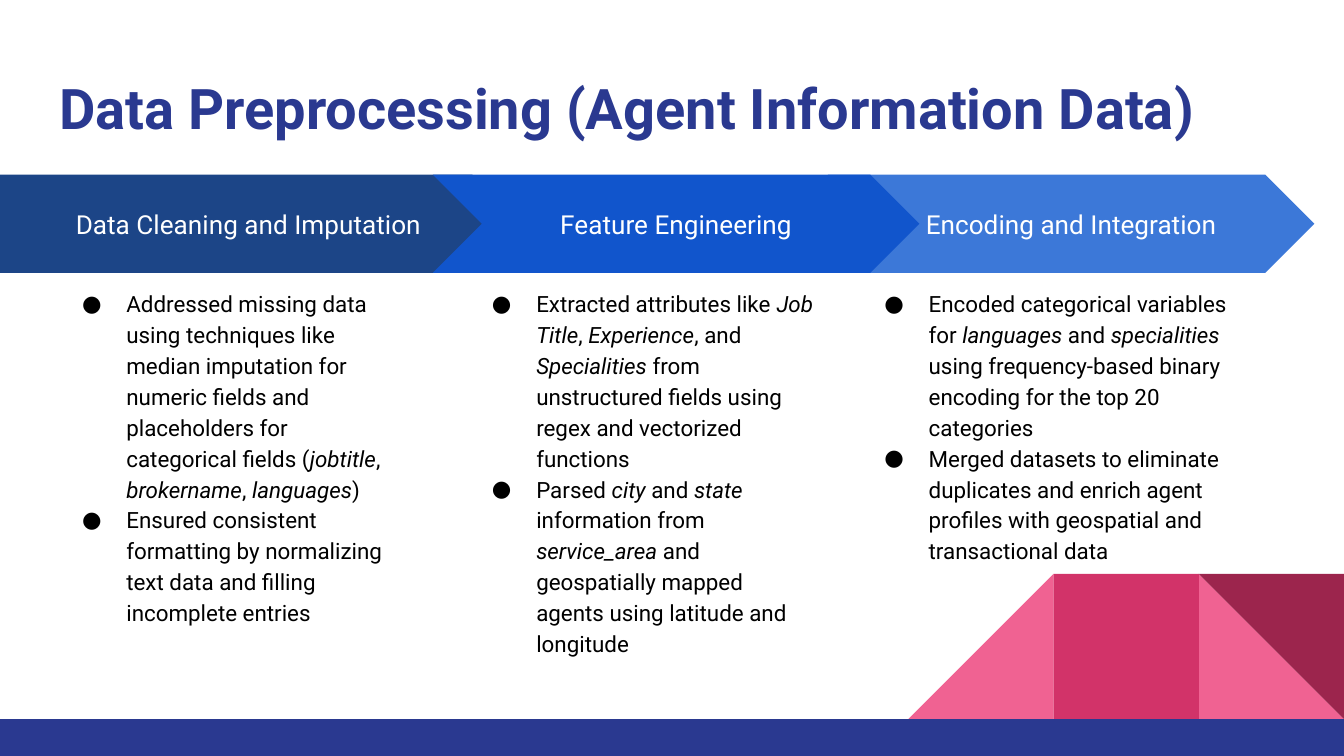
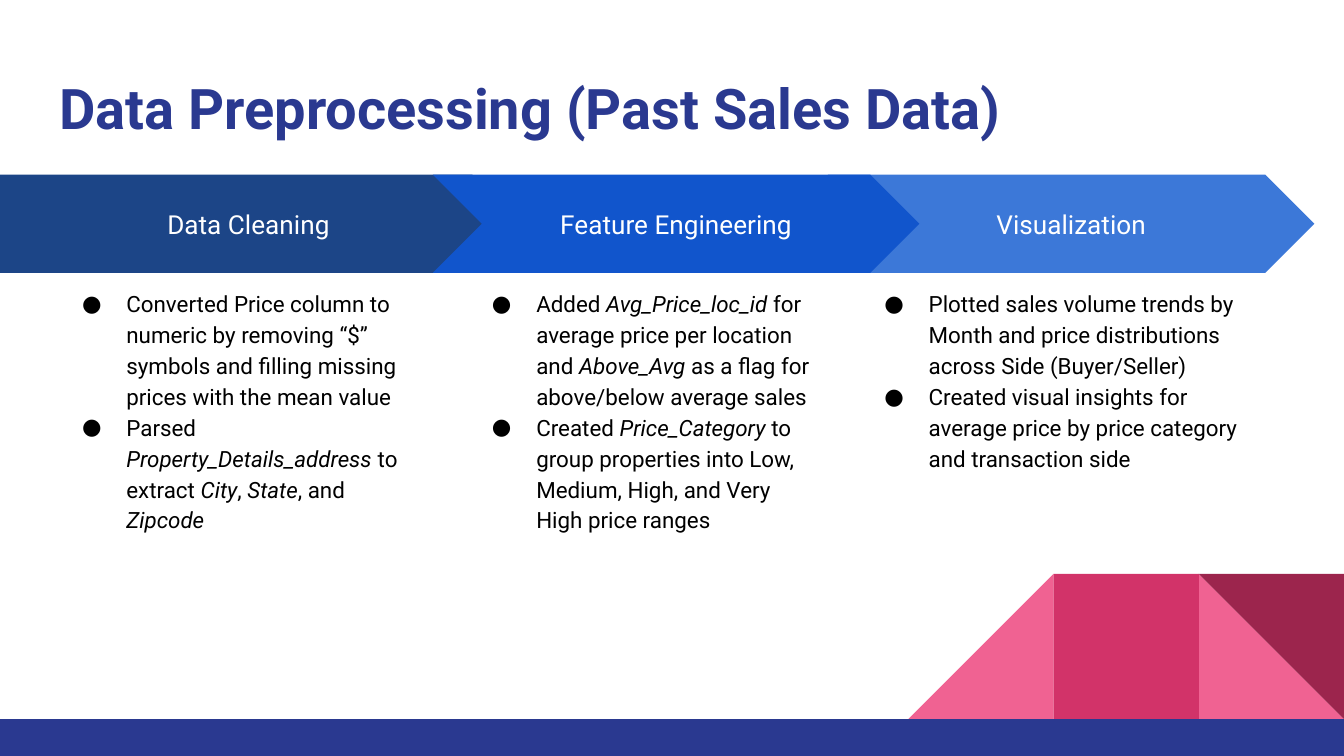
from pptx import Presentation
from pptx.dml.color import RGBColor
from pptx.enum.shapes import MSO_SHAPE
from pptx.enum.text import MSO_ANCHOR, MSO_AUTO_SIZE, PP_ALIGN
from pptx.oxml.ns import qn
from pptx.util import Pt
from lxml import etree

PX = 4572  # EMU in one px, 200 px to the inch
WIDTH, HEIGHT = 2000, 1125
FONT = "Roboto"

NAVY = RGBColor(0x2A, 0x39, 0x90)
DEEP_BLUE = RGBColor(0x1C, 0x45, 0x87)
MID_BLUE = RGBColor(0x11, 0x55, 0xCC)
LIGHT_BLUE = RGBColor(0x3C, 0x78, 0xD8)
PINK = RGBColor(0xF0, 0x62, 0x92)
ROSE = RGBColor(0xD2, 0x33, 0x69)
WINE = RGBColor(0x9C, 0x25, 0x4D)
BLACK = RGBColor(0, 0, 0)
WHITE = RGBColor(0xFF, 0xFF, 0xFF)

RECT, TRIANGLE = MSO_SHAPE.RECTANGLE, MSO_SHAPE.RIGHT_TRIANGLE
PENTAGON, CHEVRON = MSO_SHAPE.PENTAGON, MSO_SHAPE.CHEVRON
TOP, MIDDLE = MSO_ANCHOR.TOP, MSO_ANCHOR.MIDDLE
LEFT, CENTER = PP_ALIGN.LEFT, PP_ALIGN.CENTER
NO_FIT = MSO_AUTO_SIZE.NONE

COMPARISON_LAYOUT = 4
FOOTER_Y, TILE = 1070, 216
ARROW_Y, ARROW_HEIGHT = 260, 146
LIST_Y, LIST_HEIGHT = ARROW_Y + ARROW_HEIGHT, 596
TEXT_INSET, BULLET_MARGIN, BULLET_HANG = 20, 100, 66

# Per stage: arrow shape, x, width and colour; list x and width
STAGES = [
    (PENTAGON, 0, 776, DEEP_BLUE, 68, 548),
    (CHEVRON, 644, 724, MID_BLUE, 678, 554),
    (CHEVRON, 1232, 724, LIGHT_BLUE, 1262, 624),
]
STACKING = (2, 0, 1)  # the middle arrow lies on top

# Per slide: title, then heading and bullets of each stage; *…* is italic
SLIDES = [
    ("Data Preprocessing (Agent Information Data)", [
        ("Data Cleaning and Imputation", [
            "Addressed missing data using techniques like median imputation for numeric "
            "fields and placeholders for categorical fields (*jobtitle*, *brokername*, "
            "*languages*)",
            "Ensured consistent formatting by normalizing text data and filling "
            "incomplete entries"]),
        ("Feature Engineering", [
            "Extracted attributes like *Job Title*, *Experience*, and *Specialities* "
            "from unstructured fields using regex and vectorized functions",
            "Parsed *city* and *state* information from *service_area* and "
            "geospatially mapped agents using latitude and longitude"]),
        ("Encoding and Integration", [
            "Encoded categorical variables for *languages* and *specialities* using "
            "frequency-based binary encoding for the top 20 categories",
            "Merged datasets to eliminate duplicates and enrich agent profiles with "
            "geospatial and transactional data"]),
    ]),
    ("Data Preprocessing (Past Sales Data)", [
        ("Data Cleaning", [
            "Converted Price column to numeric by removing “$” symbols and filling "
            "missing prices with the mean value",
            "Parsed *Property_Details_address* to extract *City*, *State*, and *Zipcode*"]),
        ("Feature Engineering", [
            "Added *Avg_Price_loc_id* for average price per location and *Above_Avg* "
            "as a flag for above/below average sales",
            "Created *Price_Category* to group properties into Low, Medium, High, and "
            "Very High price ranges"]),
        ("Visualization", [
            "Plotted sales volume trends by Month and price distributions across Side "
            "(Buyer/Seller)",
            "Created visual insights for average price by price category and "
            "transaction side"]),
    ]),
]


def write(frame, *paragraphs, size=12, color=BLACK, bold=False, align=LEFT,
          anchor=TOP, spacing=1.0, bullets=False):
    """Fill a text frame; parts between asterisks turn italic."""
    frame.word_wrap, frame.auto_size = True, NO_FIT
    frame.vertical_anchor = anchor
    frame.margin_left = frame.margin_right = TEXT_INSET * PX
    frame.margin_top = frame.margin_bottom = TEXT_INSET * PX
    for number, text in enumerate(paragraphs):
        paragraph = frame.add_paragraph() if number else frame.paragraphs[0]
        paragraph.alignment, paragraph.line_spacing = align, spacing
        paragraph.space_before = paragraph.space_after = Pt(0)
        for part_number, part in enumerate(text.split("*")):
            if not part:
                continue
            run = paragraph.add_run()
            run.text = part
            font = run.font
            font.name, font.size, font.bold = FONT, Pt(size), bold
            font.italic = part_number % 2 == 1
            font.color.rgb = color
        if bullets:
            add_bullet(paragraph, color)


def add_bullet(paragraph, color):
    properties = paragraph._p.get_or_add_pPr()
    properties.set("marL", str(BULLET_MARGIN * PX))
    properties.set("indent", str(-BULLET_HANG * PX))
    bullet_color = etree.SubElement(properties, qn("a:buClr"))
    etree.SubElement(bullet_color, qn("a:srgbClr"), val=str(color))
    etree.SubElement(properties, qn("a:buFont"), typeface=FONT)
    etree.SubElement(properties, qn("a:buChar"), char="●")


class Deck:
    def __init__(self):
        self.presentation = Presentation()
        self.presentation.slide_width = WIDTH * PX
        self.presentation.slide_height = HEIGHT * PX
        self.layout = self.presentation.slide_layouts[COMPARISON_LAYOUT]
        self.slide = None

    def new_slide(self):
        self.slide = self.presentation.slides.add_slide(self.layout)

    def place(self, element, x, y, width, height):
        element.left, element.top = x * PX, y * PX
        element.width, element.height = width * PX, height * PX

    def shape(self, kind, x, y, width, height, fill):
        shape = self.slide.shapes.add_shape(
            kind, x * PX, y * PX, width * PX, height * PX)
        shape.shadow.inherit = False
        shape.fill.solid()
        shape.fill.fore_color.rgb = fill
        shape.line.fill.background()
        return shape

    def decorate_layout(self):
        """Draw the corner tiles and footer, then move them to the layout."""
        left, middle, right = (WIDTH - count * TILE for count in (3, 2, 1))
        tile_y = FOOTER_Y - TILE
        right_slope = self.shape(TRIANGLE, right, tile_y, TILE, TILE, PINK)
        left_slope = self.shape(TRIANGLE, left, tile_y, TILE, TILE, PINK)
        left_slope.element.spPr.get_or_add_xfrm().set("flipH", "1")
        center_tile = self.shape(RECT, middle, tile_y, TILE, TILE, ROSE)
        corner = self.shape(TRIANGLE, right, tile_y, TILE, TILE, WINE)
        corner.rotation = 180
        footer = self.shape(RECT, 0, FOOTER_Y, WIDTH, HEIGHT - FOOTER_Y, NAVY)
        for part in (right_slope, left_slope, center_tile, corner, footer):
            self.layout.shapes.element.append(part.element)

    def title(self, text):
        heading = self.slide.shapes.title
        self.place(heading, 68, 90, 1864, 132)
        write(heading.text_frame, text, size=30, color=NAVY, bold=True)

    def arrow(self, kind, x, width, fill, text):
        arrow = self.shape(kind, x, ARROW_Y, width, ARROW_HEIGHT, fill)
        arrow.adjustments[0] = 0.5
        write(arrow.text_frame, text, size=14, color=WHITE, align=CENTER, anchor=MIDDLE)

    def bullet_list(self, placeholder, x, width, items):
        self.place(placeholder, x, LIST_Y, width, LIST_HEIGHT)
        write(placeholder.text_frame, *items, spacing=1.15, bullets=True)

    def process(self, contents):
        """Show each stage as an arrow with its list below."""
        _, *bodies = self.slide.placeholders
        for spare in bodies[len(STAGES):]:
            spare.element.getparent().remove(spare.element)
        for index in STACKING:
            kind, arrow_x, arrow_width, fill, list_x, list_width = STAGES[index]
            heading, items = contents[index]
            self.arrow(kind, arrow_x, arrow_width, fill, heading)
            self.bullet_list(bodies[index], list_x, list_width, items)


def main():
    deck = Deck()
    for number, (title, contents) in enumerate(SLIDES):
        deck.new_slide()
        if number == 0:
            deck.decorate_layout()
        deck.title(title)
        deck.process(contents)
    deck.presentation.save("out.pptx")


if __name__ == "__main__":
    main()
